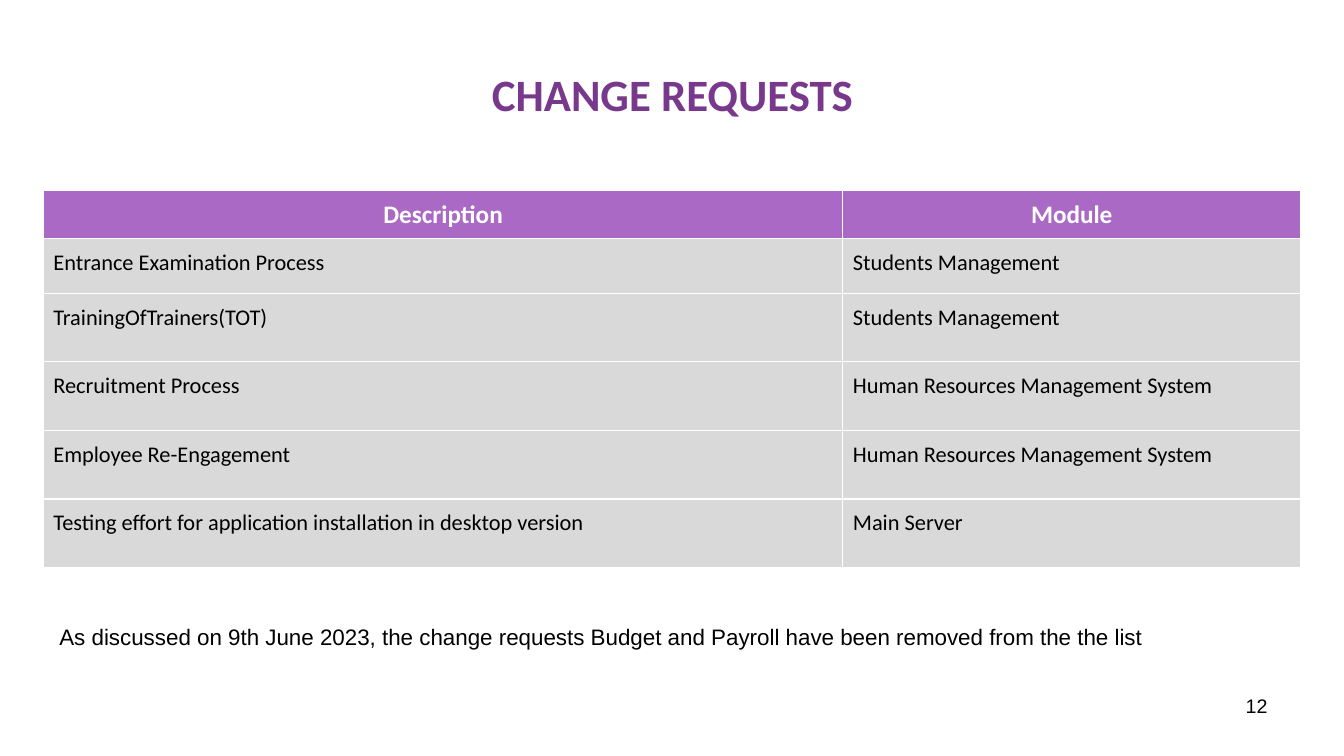
import pptx
import pptx.util
import pptx.dml.color
import pptx.enum.text
import pptx.oxml
import pptx.oxml.ns

# Content
TITLE = "CHANGE REQUESTS"
HEADER = ("Description", "Module")
REQUESTS = [
    ("Entrance Examination Process", "Students Management"),
    ("TrainingOfTrainers(TOT)", "Students Management"),
    ("Recruitment Process", "Human Resources Management System"),
    ("Employee Re-Engagement", "Human Resources Management System"),
    ("Testing effort for application installation in desktop version", "Main Server"),
]
NOTE = ("As discussed on 9th June 2023, the change requests Budget and Payroll "
        "have been removed from the the list")
PAGE = "12"

# Format
COLORS = {"title": "78398D", "header": "A969C4", "row": "D9D9D9",
          "text": "000000", "white": "FFFFFF"}
COLS = (7.93, 4.54)
ROWS = [0.48, 0.54] + [0.68] * (len(REQUESTS) - 1)
ALIGN = pptx.enum.text.PP_ALIGN
ANCHOR = pptx.enum.text.MSO_ANCHOR
inch = pptx.util.Inches


def rgb(name):
    return pptx.dml.color.RGBColor.from_string(COLORS[name])


def put_text(tf, text, size, font="Calibri", color="text", bold=False,
             align=ALIGN.LEFT, anchor=ANCHOR.TOP, spacing=None):
    tf.word_wrap = True
    tf.vertical_anchor = anchor
    p = tf.paragraphs[0]
    p.alignment = align
    p.line_spacing = spacing
    r = p.add_run()
    r.text = text
    r.font.size = pptx.util.Pt(size)
    r.font.name = font
    r.font.bold = bold
    r.font.color.rgb = rgb(color)


def add_borders(cell):
    tc_pr = cell._tc.get_or_add_tcPr()
    for i, side in enumerate(("lnL", "lnR", "lnT", "lnB")):
        tc_pr.insert(i, pptx.oxml.parse_xml(
            f'<a:{side} {pptx.oxml.ns.nsdecls("a")} w="12700"><a:solidFill>'
            f'<a:srgbClr val="{COLORS["white"]}"/></a:solidFill></a:{side}>'))


prs = pptx.Presentation()
prs.slide_width, prs.slide_height = inch(13.33), inch(7.5)
s = prs.slides.add_slide(prs.slide_layouts[5])

# Title
sp = s.shapes.title
sp.left, sp.top, sp.width, sp.height = map(inch, (0.67, 0.3, 12, 1.25))
put_text(sp.text_frame, TITLE, 32, color="title", bold=True,
         align=ALIGN.CENTER, anchor=ANCHOR.MIDDLE)

# Table of requests
table = s.shapes.add_table(len(ROWS), len(COLS), inch(0.43), inch(1.89),
                           inch(sum(COLS)), inch(sum(ROWS))).table
for column, width in zip(table.columns, COLS):
    column.width = inch(width)
for i, (values, height) in enumerate(zip([HEADER] + REQUESTS, ROWS)):
    table.rows[i].height = inch(height)
    for j, value in enumerate(values):
        cell = table.cell(i, j)
        cell.fill.solid()
        cell.fill.fore_color.rgb = rgb("row" if i else "header")
        add_borders(cell)
        if i:
            put_text(cell.text_frame, value, 16, spacing=1.2)
        else:
            put_text(cell.text_frame, value, 18, color="white", bold=True,
                     align=ALIGN.CENTER)
            cell.vertical_anchor = ANCHOR.MIDDLE

# Note and page number
for box, text, size, align in (
        ((0.49, 6.13, 12.18, 0.37), NOTE, 16, ALIGN.LEFT),
        ((9.56, 6.83, 3.11, 0.52), PAGE, 14, ALIGN.RIGHT)):
    sp = s.shapes.add_textbox(*map(inch, box))
    put_text(sp.text_frame, text, size, font="Arial", align=align)

prs.save("out.pptx")
